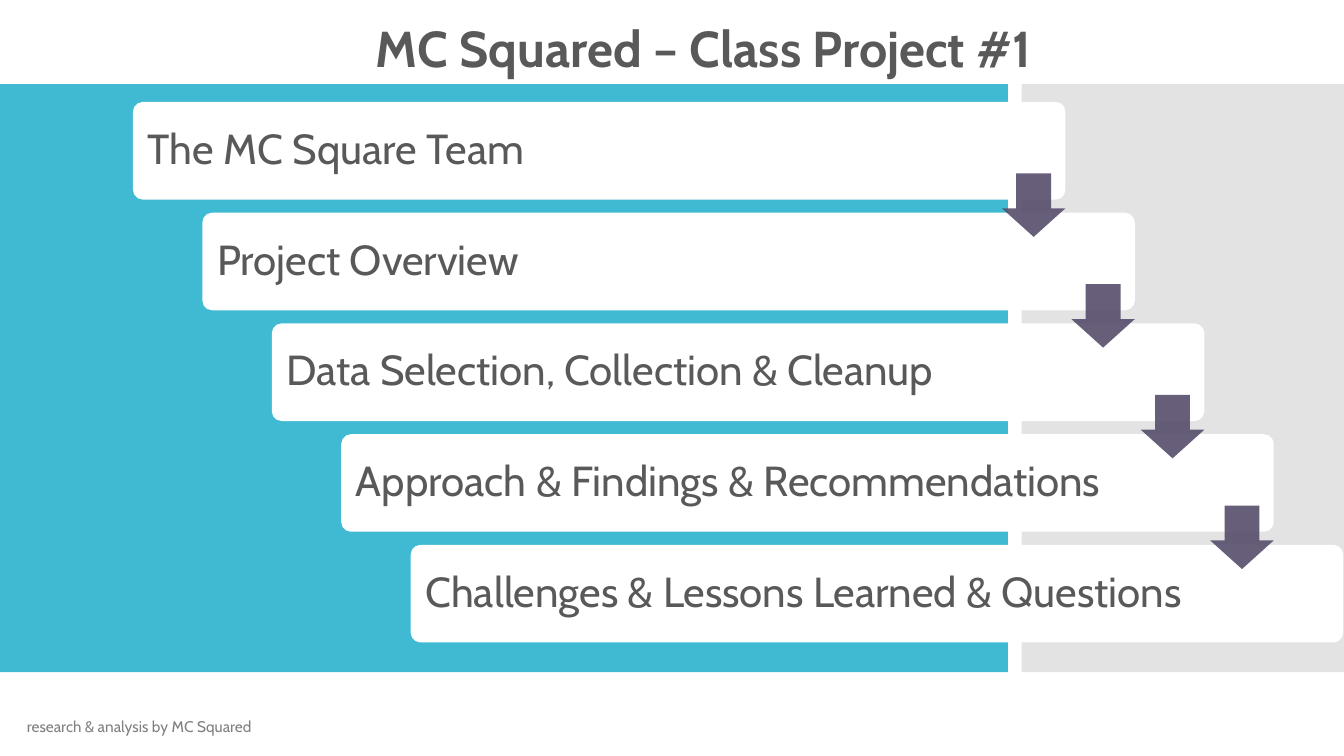
import pptx
import pptx.dml.color
import pptx.enum.shapes
import pptx.enum.text
import pptx.oxml.ns
import pptx.util
from lxml import etree
from pptx.util import Cm

FONT = "Cabin"
TEXT_COLOUR = "595959"
STEPS = [
    "The MC Square Team",
    "Project Overview",
    "Data Selection, Collection & Cleanup",
    "Approach & Findings & Recommendations",
    "Challenges & Lessons Learned & Questions",
]
STEP_LEFT, STEP_TOP = Cm(3.35), Cm(2.57)
STEP_WIDTH, STEP_HEIGHT = Cm(23.5), Cm(2.46)
SHIFT_RIGHT, SHIFT_DOWN = Cm(1.75), Cm(2.79)
ARROW_SIZE, ARROW_DROP = Cm(1.6), Cm(1.8)
Preset = pptx.enum.shapes.MSO_SHAPE
Anchor = pptx.enum.text.MSO_ANCHOR


def rgb(colour):
    return pptx.dml.color.RGBColor.from_string(colour)


def add_filled_shape(slide, preset, left, top, width, height, colour,
                     opacity=100, adjustments=()):
    """Add an unlined, shadowless shape; opacity is in percent."""
    shape = slide.shapes.add_shape(preset, left, top, width, height)
    shape.shadow.inherit = False
    shape.line.fill.background()
    shape.fill.solid()
    shape.fill.fore_color.rgb = rgb(colour)
    for index, value in enumerate(adjustments):
        shape.adjustments[index] = value
    if opacity < 100:
        qn = pptx.oxml.ns.qn
        fill_colour = shape.fill._xPr.find(qn("a:solidFill")).find(qn("a:srgbClr"))
        etree.SubElement(fill_colour, qn("a:alpha"), val=str(opacity * 1000))
    return shape


def write_text(shape, text, size, colour=TEXT_COLOUR, bold=False,
               align=pptx.enum.text.PP_ALIGN.LEFT, anchor=Anchor.MIDDLE):
    frame = shape.text_frame
    frame.word_wrap = True
    frame.auto_size = pptx.enum.text.MSO_AUTO_SIZE.NONE
    frame.vertical_anchor = anchor
    frame.text = text
    paragraph = frame.paragraphs[0]
    paragraph.alignment = align
    paragraph.font.name = FONT
    paragraph.font.size = pptx.util.Pt(size)
    paragraph.font.bold = bold
    paragraph.font.color.rgb = rgb(colour)
    return paragraph


def add_title(slide, text):
    title = slide.shapes.title
    title.left, title.top = Cm(8.33), Cm(0.3)
    title.width, title.height = Cm(18.8), Cm(1.8)
    write_text(title, text, 36, bold=True,
               align=pptx.enum.text.PP_ALIGN.CENTER, anchor=Anchor.TOP)


def add_step(slide, index, text):
    card = add_filled_shape(
        slide, Preset.ROUNDED_RECTANGLE,
        STEP_LEFT + index * SHIFT_RIGHT, STEP_TOP + index * SHIFT_DOWN,
        STEP_WIDTH, STEP_HEIGHT, "FFFFFF", adjustments=[0.1])
    card.text_frame.margin_left = card.text_frame.margin_right = Cm(0.3)
    write_text(card, text, 30).line_spacing = 0.9
    return card


def add_step_arrow(slide, card):
    """Add the arrow that leads from a card down to the next one."""
    add_filled_shape(
        slide, Preset.DOWN_ARROW,
        card.left + card.width - ARROW_SIZE, card.top + ARROW_DROP,
        ARROW_SIZE, ARROW_SIZE, "574E6C", opacity=90,
        adjustments=[0.55, 0.45])


def add_footer(slide, text):
    footer = slide.shapes.add_textbox(Cm(0.43), Cm(17.8), Cm(6.2), Cm(1.02))
    write_text(footer, text, 11, colour="808080")


def main():
    presentation = pptx.Presentation()
    presentation.slide_width, presentation.slide_height = Cm(33.87), Cm(19.05)
    title_only = presentation.slide_layouts[5]
    slide = presentation.slides.add_slide(title_only)

    add_title(slide, "MC Squared – Class Project #1")
    add_filled_shape(slide, Preset.RECTANGLE,
                     0, Cm(2.12), Cm(25.4), Cm(14.82), "40BAD2")
    add_filled_shape(slide, Preset.RECTANGLE,
                     Cm(25.75), Cm(2.12), Cm(8.12), Cm(14.82), "C8C8C8",
                     opacity=50)
    cards = [add_step(slide, index, text) for index, text in enumerate(STEPS)]
    for card in cards[:-1]:
        add_step_arrow(slide, card)
    add_footer(slide, "research & analysis by MC Squared")

    presentation.save("out.pptx")


if __name__ == "__main__":
    main()
